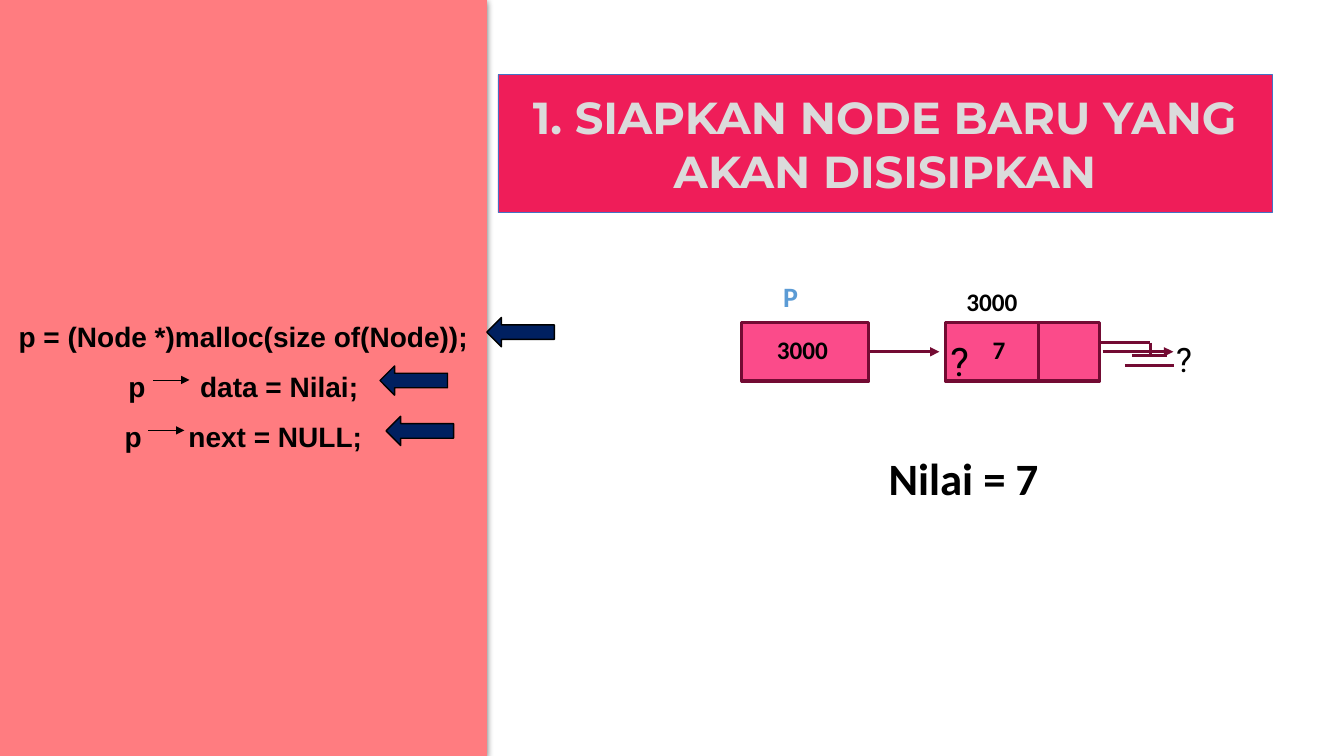
from lxml.etree import SubElement
from pptx import Presentation
from pptx.dml.color import RGBColor
from pptx.enum.shapes import MSO_CONNECTOR, MSO_SHAPE
from pptx.enum.text import MSO_ANCHOR, MSO_AUTO_SIZE, PP_ALIGN
from pptx.oxml.ns import qn
from pptx.util import Inches, Pt

PINK, WINE, NAVY, BLACK = "FB4B8A", "730B33", "002060", "000000"
SPACE_WIDTH = 5.56  # points, one Arial space at 20 pt


def color(hex_code):
    return RGBColor.from_string(hex_code)


def cells(*counts):
    """Turn counts of 0.1 inch grid columns or rows into lengths."""
    return [Inches(count / 10) for count in counts]


class NodeSlide:
    """Current slide, drawn on a grid of 0.1 inch columns and rows."""

    def __init__(self, deck):
        self.slide = deck.slides.add_slide(deck.slide_layouts[0])
        self.shapes = self.slide.shapes

    def paint(self, shape, fill, line=None, width=2.25):
        shape.shadow.inherit = False
        shape.fill.solid()
        shape.fill.fore_color.rgb = color(fill)
        if line:
            shape.line.color.rgb = color(line)
            shape.line.width = Pt(width)
        else:
            shape.line.fill.background()

    def style(self, paragraph, size, font, ink=BLACK, bold=True,
              align=PP_ALIGN.CENTER, spacing=1.0, before=0):
        paragraph.alignment = align
        paragraph.line_spacing = spacing
        paragraph.space_before = Pt(before)
        paragraph.font.size = Pt(size)
        paragraph.font.name = font
        paragraph.font.bold = bold
        paragraph.font.color.rgb = color(ink)

    def placeholder(self, index, text, at, anchor, **style):
        holder = self.slide.placeholders[index]
        holder.left, holder.top, holder.width, holder.height = cells(*at)
        frame = holder.text_frame
        frame.text = text
        frame.auto_size = MSO_AUTO_SIZE.NONE
        frame.vertical_anchor = anchor
        self.style(frame.paragraphs[0], **style)
        return holder

    def bevel_title(self, text, at):
        title = self.placeholder(0, text, at, MSO_ANCHOR.MIDDLE, size=32,
                                 font="Montserrat", ink="DBDBDB")
        bevel = SubElement(title._element.spPr, qn("a:prstGeom"), prst="bevel")
        SubElement(bevel, qn("a:avLst"))
        self.paint(title, "EF1D59", "4472C4", 0.5)

    def box(self, at, fill=PINK, line=WINE, width=2.25, kind=MSO_SHAPE.RECTANGLE):
        box = self.shapes.add_shape(kind, *cells(*at))
        self.paint(box, fill, line, width)
        return box

    def label(self, text, at, wrap=False, **style):
        frame = self.shapes.add_textbox(*cells(*at)).text_frame
        frame.word_wrap = wrap
        frame.text = text
        self.style(frame.paragraphs[0], **style)

    def line(self, start, end, ink=WINE, width=2.25, arrow=False):
        line = self.shapes.add_connector(MSO_CONNECTOR.STRAIGHT, *cells(*start, *end))
        line.line.color.rgb = color(ink)
        line.line.width = Pt(width)
        if arrow:
            SubElement(line.line._get_or_add_ln(), qn("a:tailEnd"), type="triangle")
        SubElement(line._element.spPr, qn("a:effectLst"))
        return line

    def code_panel(self, at, statements):
        """Draw the code; each statement is (pointer, gap in spaces, rest)."""
        panel = self.box(at, "FF7C80", None)
        effects = panel._element.spPr.find(qn("a:effectLst"))
        shadow = SubElement(effects, qn("a:outerShdw"), blurRad=str(Pt(4.5)),
                            dist=str(Pt(1.5)), dir="5400000", rotWithShape="0")
        black = SubElement(shadow, qn("a:srgbClr"), val=BLACK)
        SubElement(black, qn("a:alpha"), val="63000")
        frame = panel.text_frame
        frame.word_wrap = True
        frame.vertical_anchor = MSO_ANCHOR.MIDDLE
        for number, (pointer, gap, rest) in enumerate(statements):
            statement = frame.add_paragraph() if number else frame.paragraphs[0]
            self.style(statement, 20, "Arial", spacing=1.5)
            statement.add_run().text = pointer
            space = statement.add_run()
            space.text = " "
            if gap > 1:
                widening = round((gap - 1) * SPACE_WIDTH * 100)
                space.font._element.set("spc", str(widening))
            statement.add_run().text = rest


def main():
    deck = Presentation()
    deck.slide_width, deck.slide_height = cells(133.33, 75)
    page = NodeSlide(deck)
    page.bevel_title("1. SIAPKAN NODE BARU YANG AKAN DISISIPKAN",
                     (49.4, 7.4, 76.8, 13.7))
    page.placeholder(1, "P", (76.7, 27.6, 6.5, 4.4), MSO_ANCHOR.TOP, size=20,
                     font="Calibri", ink="5B9BD5", align=PP_ALIGN.LEFT,
                     spacing=0.9, before=7.5)

    node_top, node_height = 32, 5.8
    middle = node_top + node_height / 2
    pointer = page.box((73.6, node_top, 12.6, node_height))
    for left, width in ((93.8, 9.3), (103, 6.1)):
        page.box((left, node_top, width, node_height))
    page.line((86.2, middle), (93.2, middle), arrow=True).begin_connect(pointer, 3)

    ground = ((109.1, 34), (114.1, 34)), ((114.1, 34), (114.1, 35.3)), \
        ((112.3, 35.3), (115.8, 35.3)), ((111.6, 36.3), (116.5, 36.3))
    for start, end in ground:
        page.line(start, end)

    page.code_panel((0, 0, 48.3, 75), (
        ("p", 1, "= (Node *)malloc(size of(Node));"),
        ("p", 7, "data = Nilai;"),
        ("p", 6, "next = NULL;")))
    for left, row in ((15.2, 37.7), (14.7, 42.7)):
        page.line((left, row), (left + 3.6, row), BLACK, 0.5, arrow=True)

    page.label("Nilai = 7", (83, 45.3, 25.2, 5.7), wrap=True, size=32,
               font="Calibri", spacing=0.8, before=10)
    for left, top in ((48.3, 31.5), (37.7, 36.3), (38.3, 41.3)):
        page.box((left, top, 6.7, 2.9), NAVY, BLACK, 1, MSO_SHAPE.LEFT_ARROW)

    for at, size in (((93.3, 30.6, 3.8, 7.3), 28), ((115.7, 31.1, 3.5, 6.4), 24)):
        page.label("?", at, size=size, font="Roboto", bold=False,
                   align=PP_ALIGN.JUSTIFY, spacing=1.5)
    page.line((109.4, middle), (116.4, middle), arrow=True)
    for text, at in (("3000", (94.6, 27.9, 7.6, 4)),
                     ("3000", (75.8, 32.7, 7.6, 4)),
                     ("7", (97.4, 32.7, 3.4, 4))):
        page.label(text, at, size=18, font="Calibri")
    deck.save("out.pptx")


if __name__ == "__main__":
    main()
